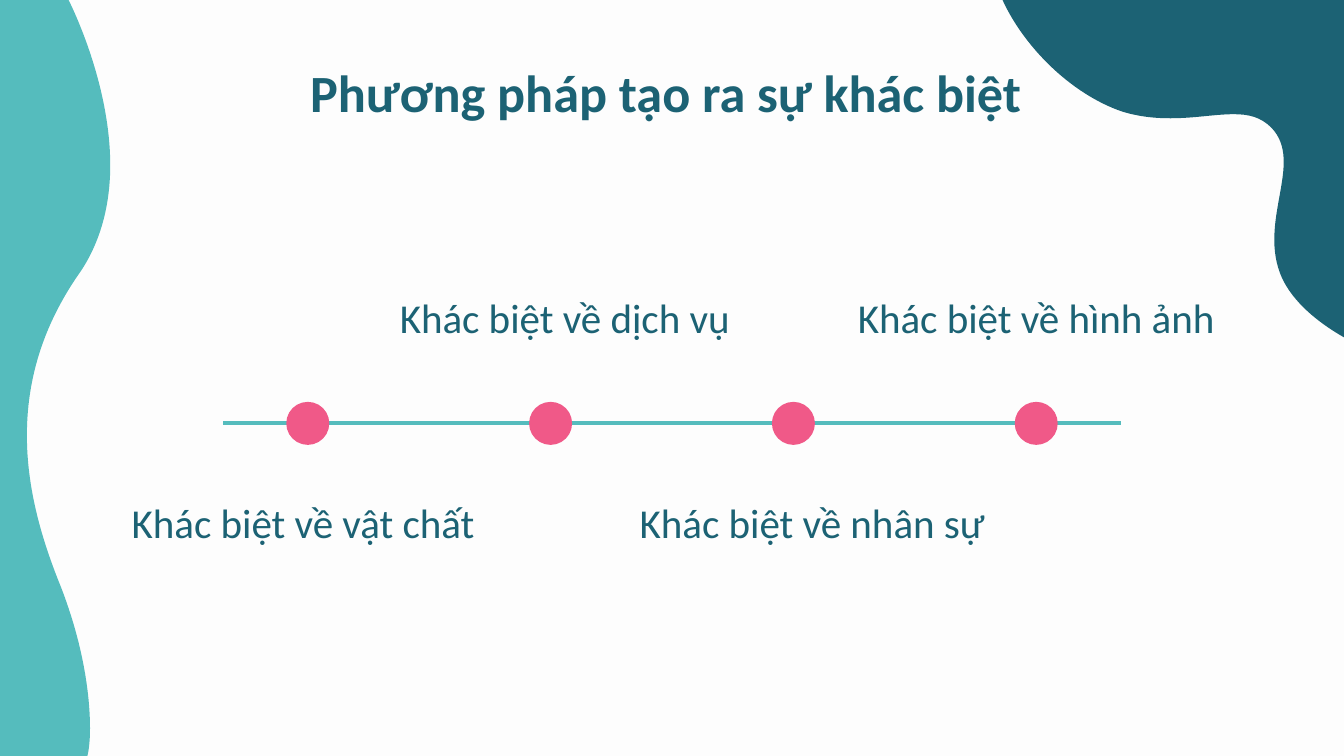
from dataclasses import dataclass

from lxml.etree import SubElement
from pptx import Presentation
from pptx.dml.color import RGBColor
from pptx.enum.shapes import MSO_CONNECTOR, MSO_SHAPE
from pptx.enum.text import MSO_ANCHOR, PP_ALIGN
from pptx.oxml.ns import qn
from pptx.util import Inches, Pt

WIDTH, HEIGHT = 10, 5.625
UNITS = 1000  # outline units to the inch


@dataclass(frozen=True)
class Theme:
    font: str = "Calibri"
    background: str = "FDFDFD"
    teal: str = "55BCBD"
    navy: str = "1C6274"
    pink: str = "F05988"
    title_size: float = 28
    label_size: float = 22
    line_width: float = 2.25


THEME = Theme()

# Each wave: a start point, cubic segments (two controls and an end), corners
LEFT_WAVE = (
    (0.65, HEIGHT),
    [((0.65, HEIGHT), (0.67, 5.56), (0.67, 5.42)),
     ((0.67, 5.2), (0.63, 4.82), (0.45, 4.36)),
     ((0.3, 3.99), (0.2, 3.62), (0.2, 3.24)),
     ((0.2, 2.84), (0.31, 2.43), (0.6, 2.02)),
     ((0.76, 1.78), (0.82, 1.5), (0.82, 1.23)),
     ((0.82, 0.6), (0.51, 0), (0.51, 0))],
    [(0, 0), (0, HEIGHT)],
)
CORNER_WAVE = (
    (7.46, 0),
    [((7.62, 0.35), (7.97, 0.7), (8.35, 0.83)),
     ((8.48, 0.87), (8.6, 0.88), (8.71, 0.88)),
     ((8.89, 0.88), (9.04, 0.85), (9.18, 0.85)),
     ((9.29, 0.85), (9.38, 0.87), (9.46, 0.95)),
     ((9.71, 1.21), (9.35, 1.65), (9.54, 2.07)),
     ((9.62, 2.24), (9.79, 2.39), (WIDTH, 2.51))],
    [(WIDTH, 0)],
)

# Label text, box width and shift of its centre from the dot
STEPS = [
    ("Khác biệt về vật chất ", 2.91, 0),
    ("Khác biệt về dịch vụ ", 2.79, 0.14),
    ("Khác biệt về nhân sự ", 2.79, 0.14),
    ("Khác biệt về hình ảnh ", 2.91, 0),
]
AXIS_Y = 3.15
AXIS_ENDS = (1.66, 8.34)
FIRST_DOT, LAST_DOT, DOT_SIZE = 2.29, 7.71, 0.32
LABEL_TOPS = (3.6, 2.08)  # below and above the axis, in turn
LABEL_HEIGHT = 0.8


def color(value):
    return RGBColor.from_string(value)


def paint(shape, fill):
    shape.shadow.inherit = False
    shape.fill.solid()
    shape.fill.fore_color.rgb = color(fill)
    shape.line.fill.background()


def bend(line, controls, left, top):
    """Replace a straight outline segment with a cubic curve."""
    curve = line.makeelement(qn("a:cubicBezTo"))
    for x, y in controls:
        point = SubElement(curve, qn("a:pt"))
        point.set("x", str(round((x - left) * UNITS)))
        point.set("y", str(round((y - top) * UNITS)))
    line.getparent().replace(line, curve)


def add_wave(page, wave, fill):
    start, segments, corners = wave
    points = [start] + [segment[-1] for segment in segments] + corners
    scaled = [(x * UNITS, y * UNITS) for x, y in points]
    builder = page.shapes.build_freeform(*scaled[0], scale=Inches(1) / UNITS)
    builder.add_line_segments(scaled[1:], close=True)
    shape = builder.convert_to_shape()

    left = min(x for x, _ in points)
    top = min(y for _, y in points)
    lines = list(shape.element.iter(qn("a:lnTo")))
    for line, segment in zip(lines, segments):
        bend(line, segment, left, top)
    paint(shape, fill)


def write_text(box, text, *, size, bold=False):
    frame = box.text_frame
    frame.word_wrap = True
    frame.vertical_anchor = MSO_ANCHOR.TOP
    frame.margin_left = frame.margin_right = Inches(0.1)
    frame.margin_top = frame.margin_bottom = Inches(0.1)
    para = frame.paragraphs[0]
    para.alignment = PP_ALIGN.CENTER
    span = para.add_run()
    span.text = text
    span.font.name = THEME.font
    span.font.size = Pt(size)
    span.font.bold = bold
    span.font.color.rgb = color(THEME.navy)


def add_title(page, text):
    title = page.shapes.title
    title.left, title.top = Inches(2.13), Inches(0.35)
    title.width, title.height = Inches(5.73), Inches(0.63)
    write_text(title, text, size=THEME.title_size, bold=True)


def add_axis(page):
    left, right = AXIS_ENDS
    axis = page.shapes.add_connector(
        MSO_CONNECTOR.STRAIGHT,
        Inches(left), Inches(AXIS_Y), Inches(right), Inches(AXIS_Y))
    axis.line.color.rgb = color(THEME.teal)
    axis.line.width = Pt(THEME.line_width)
    SubElement(axis.element.spPr, qn("a:effectLst"))


def add_dot(page, center):
    dot = page.shapes.add_shape(
        MSO_SHAPE.OVAL,
        Inches(center - DOT_SIZE / 2), Inches(AXIS_Y - DOT_SIZE / 2),
        Inches(DOT_SIZE), Inches(DOT_SIZE))
    paint(dot, THEME.pink)


def add_label(page, text, center, top, width):
    box = page.shapes.add_textbox(
        Inches(center - width / 2), Inches(top),
        Inches(width), Inches(LABEL_HEIGHT))
    write_text(box, text, size=THEME.label_size)


def main():
    deck = Presentation()
    deck.slide_width, deck.slide_height = Inches(WIDTH), Inches(HEIGHT)
    page = deck.slides.add_slide(deck.slide_layouts[5])

    # Background and waves
    page.background.fill.solid()
    page.background.fill.fore_color.rgb = color(THEME.background)
    add_wave(page, LEFT_WAVE, THEME.teal)
    add_wave(page, CORNER_WAVE, THEME.navy)

    # Title
    add_title(page, "Phương pháp tạo ra sự khác biệt ")

    # Timeline with labels alternating below and above
    add_axis(page)
    gap = (LAST_DOT - FIRST_DOT) / (len(STEPS) - 1)
    for index, (text, width, shift) in enumerate(STEPS):
        center = FIRST_DOT + index * gap
        add_dot(page, center)
        add_label(page, text, center + shift, LABEL_TOPS[index % 2], width)

    deck.save("out.pptx")


if __name__ == "__main__":
    main()
